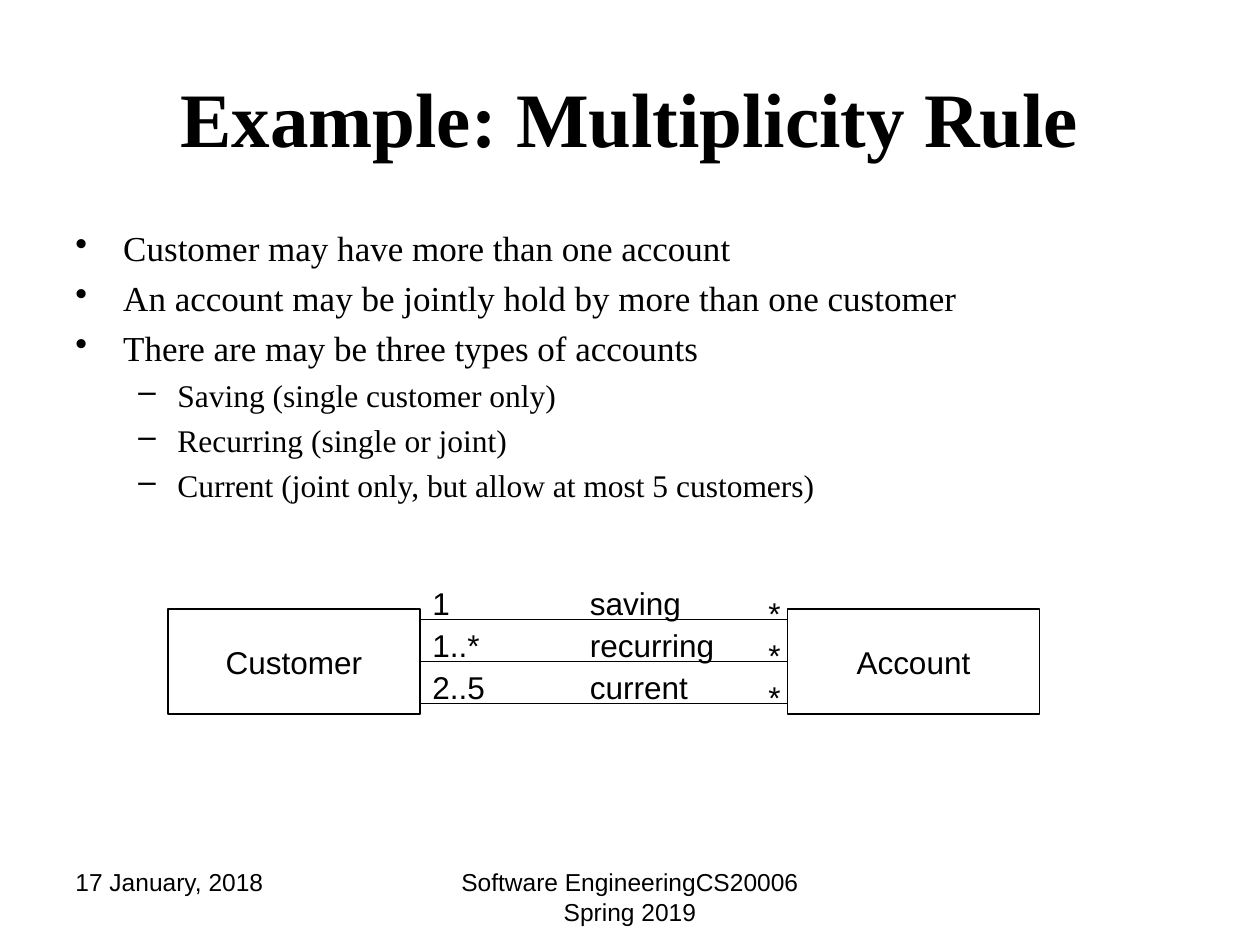
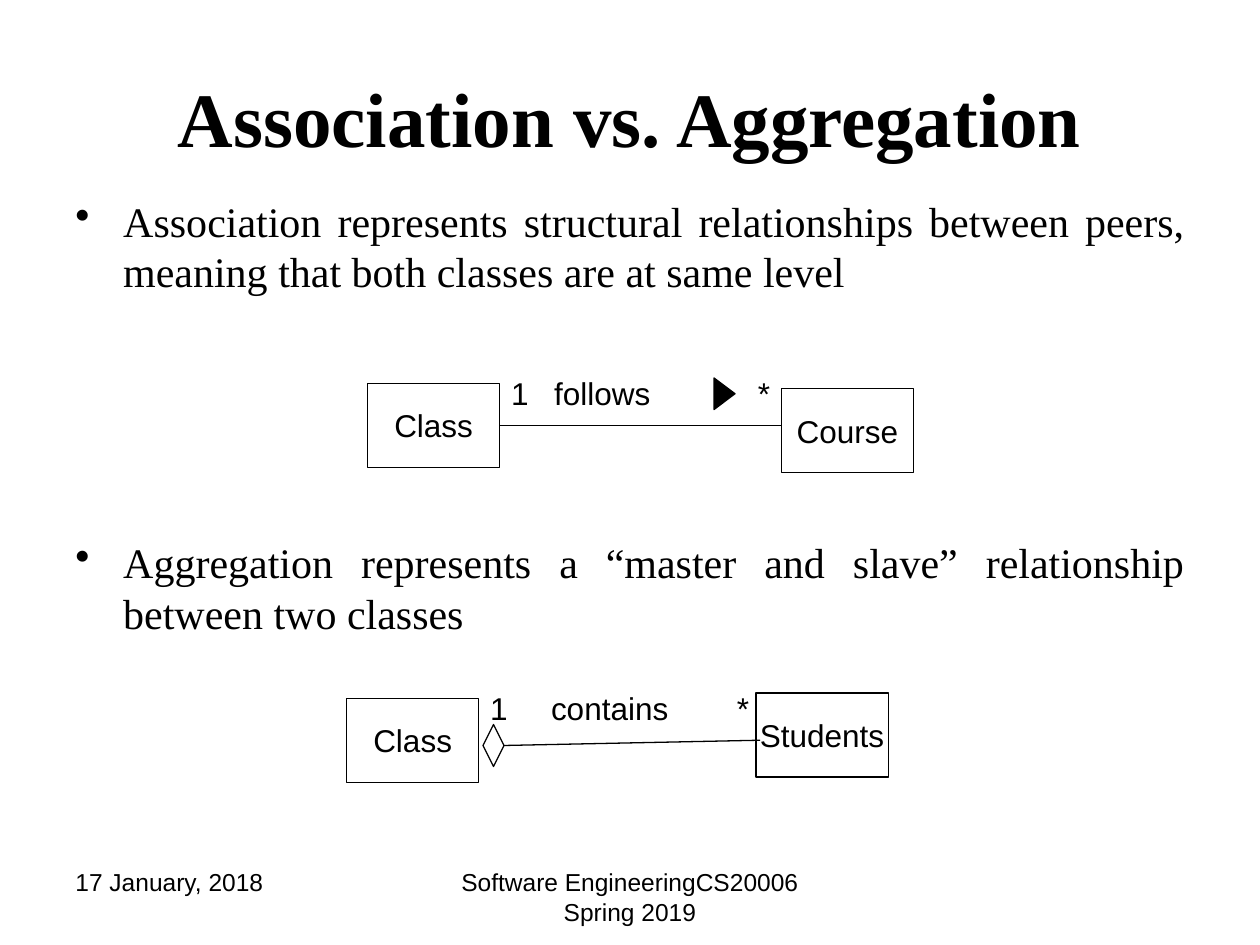
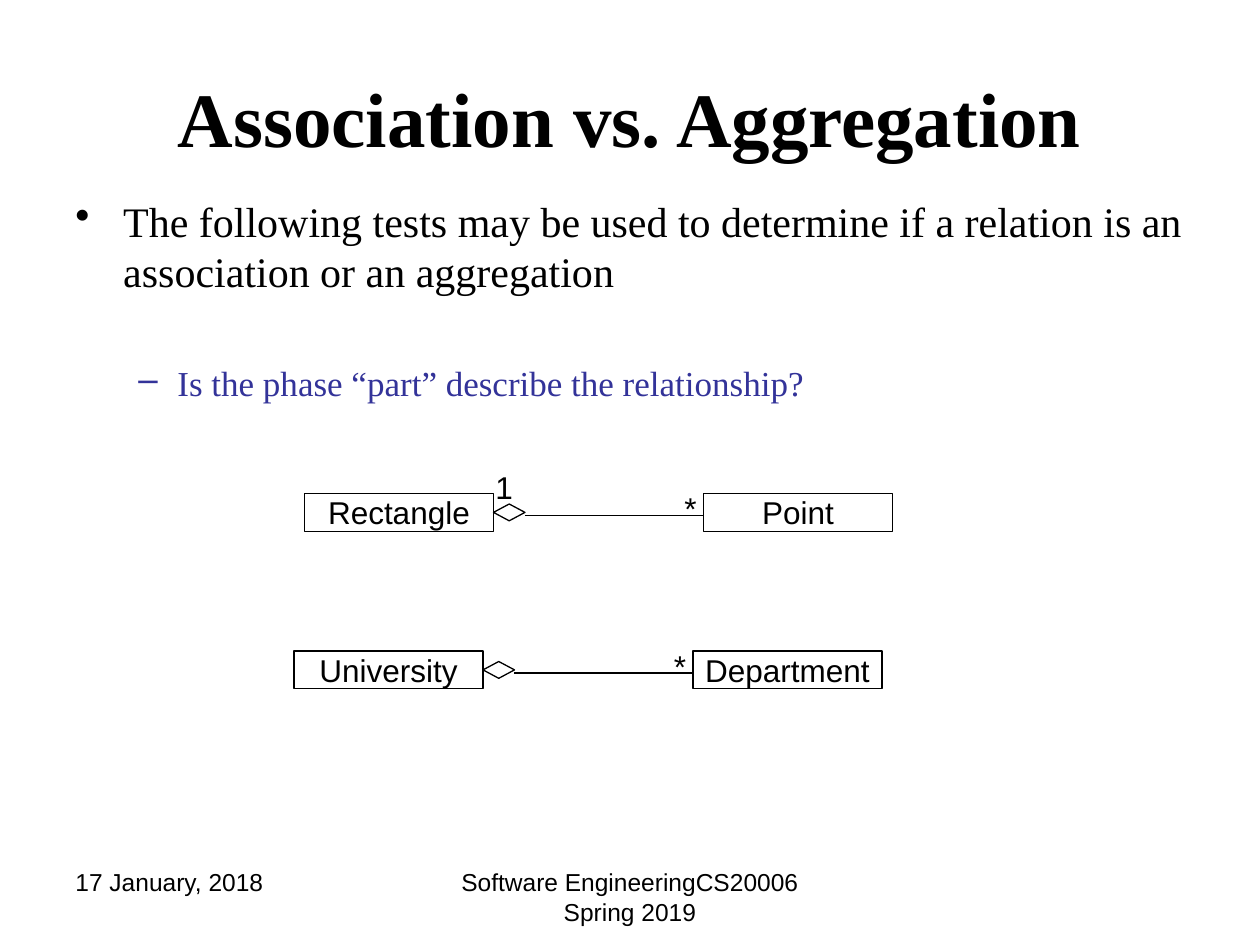
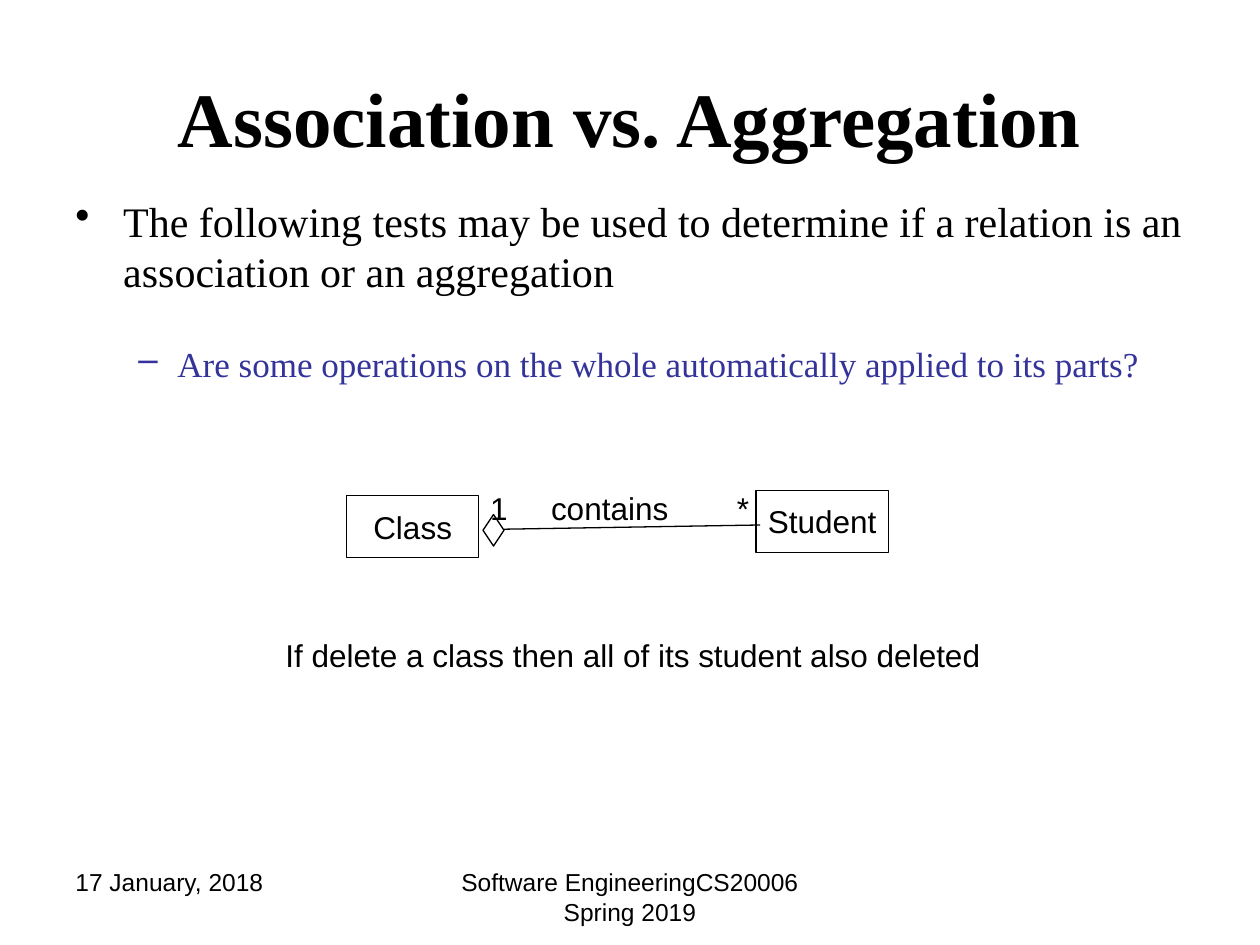
import dataclasses

import lxml.etree
import pptx
import pptx.dml.color
import pptx.enum.shapes
import pptx.enum.text
import pptx.oxml.ns
import pptx.util

ALIGN = pptx.enum.text.PP_ALIGN
ANCHOR = pptx.enum.text.MSO_ANCHOR
SHAPE = pptx.enum.shapes.MSO_SHAPE


@dataclasses.dataclass(frozen=True)
class Theme:
    ink: str = "000000"
    accent: str = "333399"
    paper: str = "FFFFFF"
    serif: str = "Times New Roman"
    sans: str = "Arial"
    title: int = 44
    large: int = 24
    medium: int = 20
    small: int = 18
    footer: int = 14
    rule: float = 0.75


T = Theme()

prs = pptx.Presentation()
prs.slide_width = pptx.util.Inches(10)
prs.slide_height = pptx.util.Inches(7.5)

# Grid of 120 columns by 90 rows; all lengths below are counted in cells
CELL = prs.slide_width / 120

# Bullet levels: character, left margin and hanging indent in inches
BULLETS = [("•", 0.38, -0.38), ("–", 0.81, -0.31)]


def write(sp, text, size=T.small, font=T.sans, color=T.ink, bold=False,
          align=ALIGN.LEFT, anchor=ANCHOR.TOP, wrap=True, level=None, before=0):
    """Add one formatted paragraph to a shape."""
    tf = sp.text_frame
    tf.word_wrap = wrap
    tf.auto_size = pptx.enum.text.MSO_AUTO_SIZE.NONE
    tf.vertical_anchor = anchor
    p = tf.add_paragraph() if tf.text else tf.paragraphs[0]
    p.alignment = align
    p.space_before = pptx.util.Pt(before)
    if level is not None:
        char, margin, indent = BULLETS[level]
        p.level = level
        pPr = p._p.get_or_add_pPr()
        pPr.set("marL", str(pptx.util.Inches(margin)))
        pPr.set("indent", str(pptx.util.Inches(indent)))
        bu = lxml.etree.SubElement(pPr, pptx.oxml.ns.qn("a:buChar"))
        bu.set("char", char)
    r = p.add_run()
    r.text = text
    r.font.size = pptx.util.Pt(size)
    r.font.name = font
    r.font.bold = bold
    r.font.color.rgb = pptx.dml.color.RGBColor.from_string(color)


def place(s, kind, x, y, w, h, fill=None):
    """Add a preset shape, or a text box when kind is None."""
    area = [round(v * CELL) for v in (x, y, w, h)]
    if kind is None:
        return s.shapes.add_textbox(*area)
    sp = s.shapes.add_shape(kind, *area)
    sp.shadow.inherit = False
    sp.line.color.rgb = pptx.dml.color.RGBColor.from_string(T.ink)
    sp.line.width = pptx.util.Pt(T.rule)
    if fill:
        sp.fill.solid()
        sp.fill.fore_color.rgb = pptx.dml.color.RGBColor.from_string(fill)
    else:
        sp.fill.background()
    return sp


# Slide contents
# bullets: text, level, size, extra space before in points, colour
# boxes: name, x, y, w, h      lines: x1, y1, x2, y2
# labels: text, x, y, w        symbols: kind, x, y, w, h, rotation, fill
COMPARE = "Association vs. Aggregation"
TESTS = ("The following tests may be used to determine if a relation is an "
         "association or an aggregation", 0, T.large, 0, T.ink)
DIAMOND = SHAPE.FLOWCHART_DECISION
STAR_W, ONE_W = 3.6, 4

multiplicity = dict(
    title="Example: Multiplicity Rule", body_top=21,
    bullets=[
        ("Customer may have more than one account", 0, T.medium, 0, T.ink),
        ("An account may be jointly hold by more than one customer", 0, T.medium, 0, T.ink),
        ("There are may be three types of accounts", 0, T.medium, 0, T.ink),
        ("Saving (single customer only)", 1, T.small, 0, T.ink),
        ("Recurring (single or joint)", 1, T.small, 0, T.ink),
        ("Current (joint only, but allow at most 5 customers)", 1, T.small, 0, T.ink)],
    boxes=[("Customer", 16, 58, 24, 10), ("Account", 75, 58, 24, 10)],
    lines=[], labels=[], symbols=[])
accounts = [("1", ONE_W, "saving", 11), ("1..*", 7, "recurring", 14.3),
            ("2..5", 7.4, "current", 11.8)]
for i, (count, count_w, name, name_w) in enumerate(accounts):
    y = 59 + 4 * i
    multiplicity["lines"].append((40, y, 75, y))
    multiplicity["labels"] += [(count, 40, y - 4, count_w), (name, 55, y - 4, name_w),
                               ("*", 72, y - 3, STAR_W)]

peers = dict(
    title=COMPARE, body_top=18, align=ALIGN.JUSTIFY,
    bullets=[
        ("Association represents structural relationships between peers, "
         "meaning that both classes are at same level", 0, T.large, 0, T.ink),
        ("Aggregation represents a “master and slave” relationship "
         "between two classes", 0, T.large, 132, T.ink)],
    boxes=[("Class", 35, 36.5, 12.6, 8), ("Course", 74.4, 37, 12.6, 8),
           ("Class", 33, 66.5, 12.6, 8), ("Students", 72, 66, 12.6, 8)],
    lines=[(47.6, 40.5, 74.4, 40.5), (48, 71, 72.4, 70.5)],
    labels=[("1", 47.5, 35, ONE_W), ("follows", 51.6, 35, 11.6), ("*", 71, 35, STAR_W),
            ("1", 45.5, 65, ONE_W), ("contains", 51.3, 65, 13.7), ("*", 69, 65, STAR_W)],
    symbols=[(SHAPE.FLOWCHART_EXTRACT, 67.5, 36.5, 3, 2, 90, T.ink),
             (DIAMOND, 46, 69, 2, 4, 0, None)])

parts = dict(
    title=COMPARE, body_top=18,
    bullets=[TESTS, ("Is the phase “part” describe the relationship?",
                     1, T.medium, 33, T.accent)],
    boxes=[], lines=[], labels=[("1", 46, 44, ONE_W)], symbols=[])
for whole, part, x, y in [("Rectangle", "Point", 29, 47), ("University", "Department", 28, 62)]:
    parts["boxes"] += [(whole, x, y, 18, 3.6), (part, x + 38, y, 18, 3.6)]
    parts["symbols"].append((DIAMOND, x + 18, y + 1, 3, 1.6, 0, None))
    parts["lines"].append((x + 21, y + 2.1, x + 38, y + 2.1))
    parts["labels"].append(("*", x + 35, y - 1, STAR_W))

operations = dict(
    title=COMPARE, body_top=18,
    bullets=[TESTS, ("Are some operations on the whole automatically applied to its parts?",
                     1, T.medium, 22, T.accent)],
    boxes=[("Class", 33, 47.2, 12.6, 5.9), ("Student", 72, 46.7, 12.6, 5.9)],
    lines=[(48, 50.4, 72.4, 50)],
    labels=[("1", 45.5, 46, ONE_W), ("contains", 51.3, 46, 13.7), ("*", 69, 46, STAR_W),
            ("If delete a class then all of its student also deleted", 26, 60, 76)],
    symbols=[(DIAMOND, 46, 49, 2, 3, 0, None)])

for page in (multiplicity, peers, parts, operations):
    s = prs.slides.add_slide(prs.slide_layouts[5])
    s.background.fill.solid()
    s.background.fill.fore_color.rgb = pptx.dml.color.RGBColor.from_string(T.paper)

    # Title
    sp = s.shapes.title
    sp.left, sp.top, sp.width, sp.height = [round(v * CELL) for v in (6, 3.6, 108, 15)]
    write(sp, page["title"], size=T.title, font=T.serif, bold=True,
          align=ALIGN.CENTER, anchor=ANCHOR.MIDDLE)

    # Footer
    write(place(s, None, 6, 82, 28, 6.2), "17 January, 2018", size=T.footer)
    write(place(s, None, 41, 82, 38, 6.2), "Software EngineeringCS20006 Spring 2019",
          size=T.footer, align=ALIGN.CENTER)

    # Bullets
    top = page["body_top"]
    body = place(s, None, 6, top, 108, 80.4 - top)
    for text, level, size, extra, color in page["bullets"]:
        write(body, text, size=size, font=T.serif, color=color, level=level,
              align=page.get("align", ALIGN.LEFT), before=round(0.23 * size + extra, 1))

    # Class diagram
    for name, *area in page["boxes"]:
        write(place(s, SHAPE.RECTANGLE, *area), name, align=ALIGN.CENTER,
              anchor=ANCHOR.MIDDLE, wrap=False)
    for ends in page["lines"]:
        cx = s.shapes.add_connector(pptx.enum.shapes.MSO_CONNECTOR.STRAIGHT,
                                    *[round(v * CELL) for v in ends])
        cx.line.color.rgb = pptx.dml.color.RGBColor.from_string(T.ink)
        cx.line.width = pptx.util.Pt(T.rule)
        lxml.etree.SubElement(cx._element.spPr, pptx.oxml.ns.qn("a:effectLst"))
    for text, x, y, w in page["labels"]:
        # Wide captions wrap; short labels stay on one line
        write(place(s, None, x, y, w, 4.8), text, wrap=w > 20,
              before=9 if w > 20 else 0)
    for kind, x, y, w, h, rotation, fill in page["symbols"]:
        place(s, kind, x, y, w, h, fill).rotation = rotation

prs.save("out.pptx")
